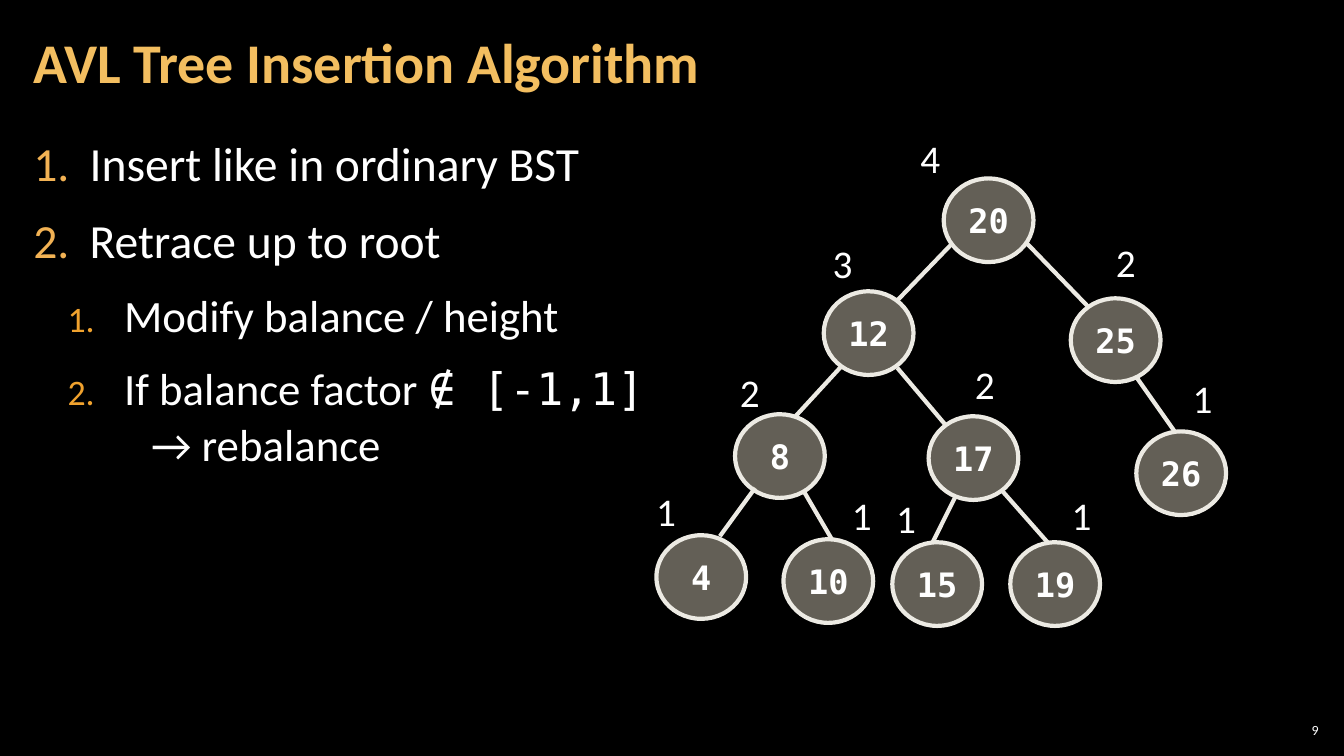
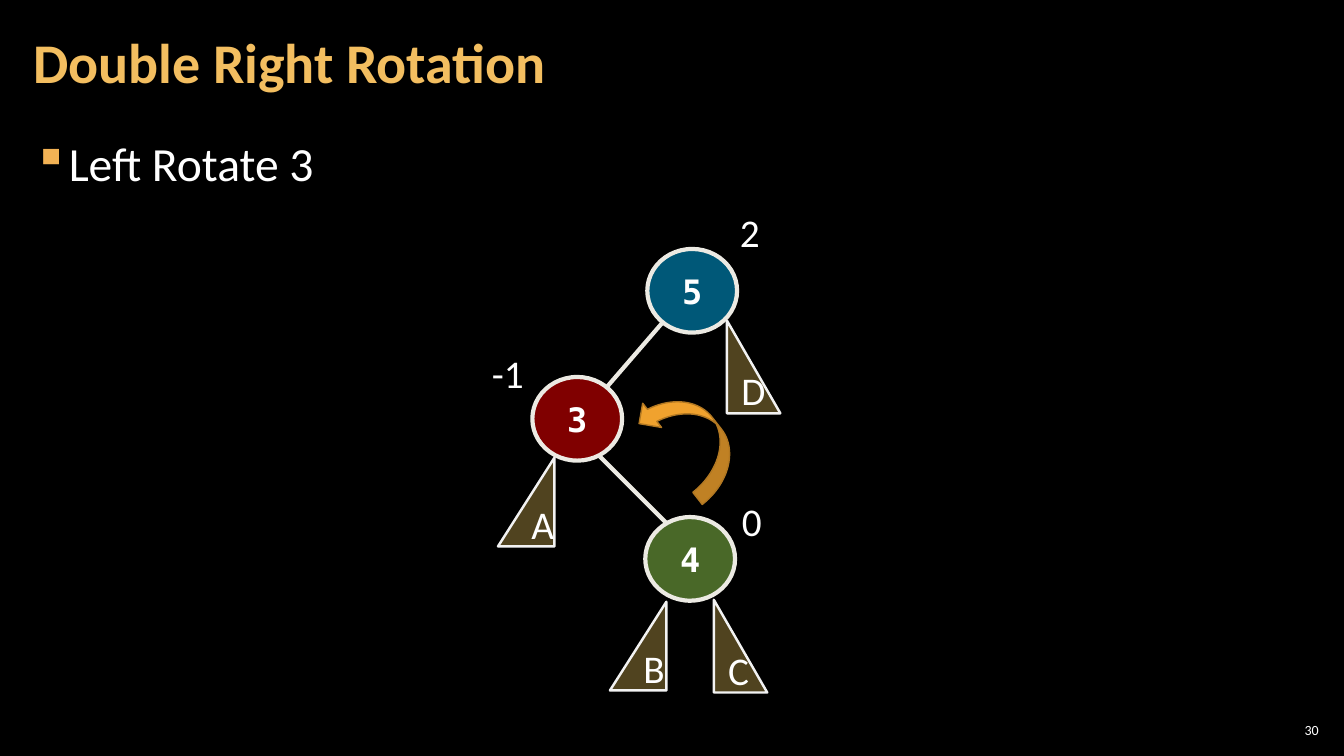
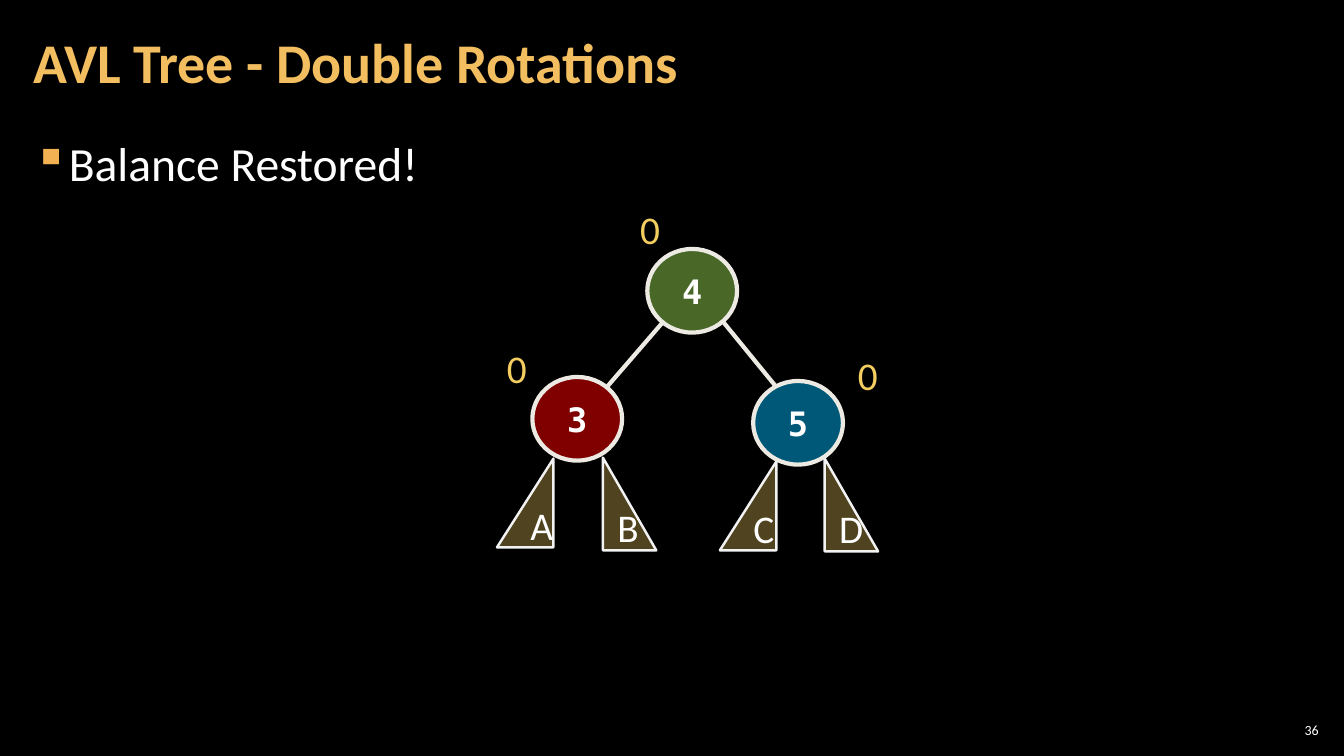
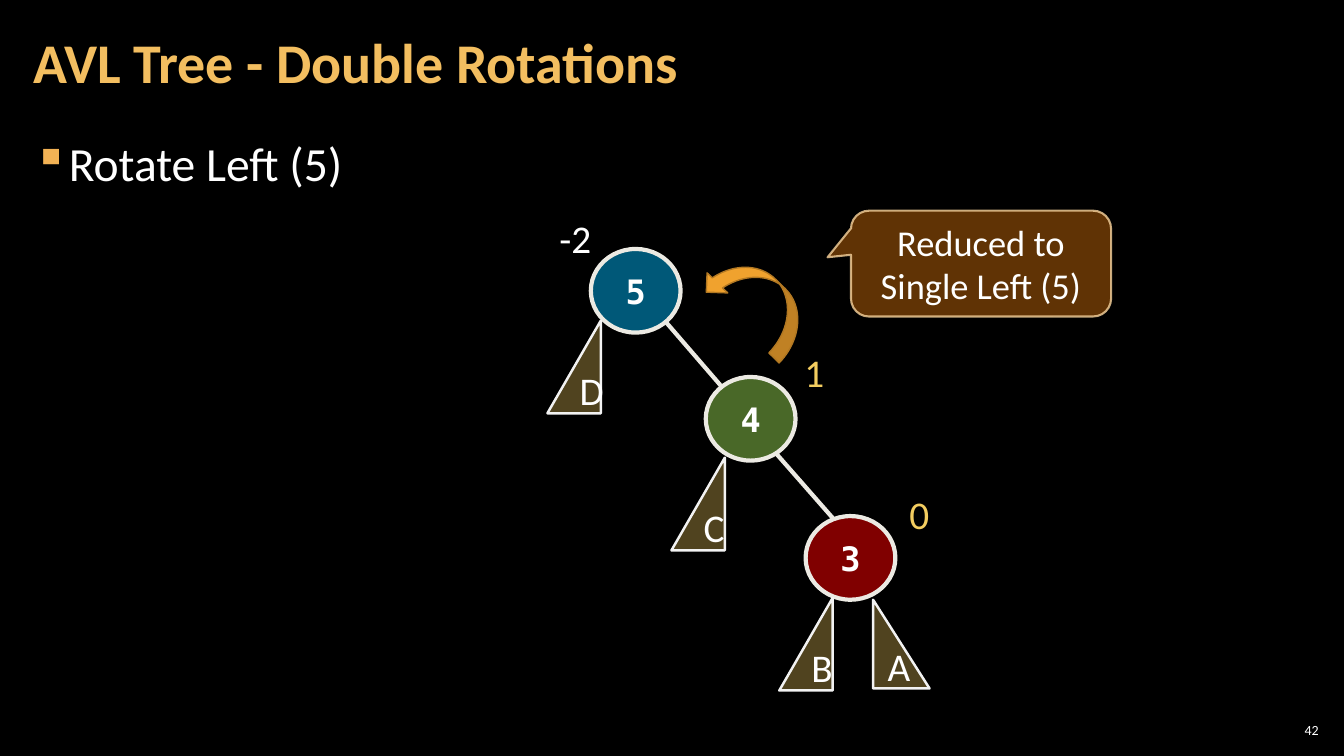
import dataclasses
import lxml.etree
import pptx
import pptx.dml.color
import pptx.enum.shapes
import pptx.enum.text
import pptx.oxml.ns
import pptx.util

Inches = pptx.util.Inches
Pt = pptx.util.Pt
Shapes = pptx.enum.shapes.MSO_SHAPE
Align = pptx.enum.text.PP_ALIGN
Anchor = pptx.enum.text.MSO_ANCHOR
qn = pptx.oxml.ns.qn


@dataclasses.dataclass(frozen=True)
class Theme:
    font: str = "Calibri"
    mono: str = "DejaVu Sans Mono"
    background: str = "000000"
    text: str = "FFFFFF"
    title: str = "F3BE60"
    bullet: str = "F2B254"
    accent: str = "F0A22E"
    accent_line: str = "B27822"
    outline: str = "ECEAE3"
    subtree: str = "F3CD60"
    subtree_line: str = "F2F2F2"
    callout: str = "663606"
    callout_line: str = "F8D49E"
    stone: str = "C7BFAC"
    red: str = "FF0000"
    green: str = "92D050"
    blue: str = "00B0F0"
    title_size: int = 40
    body_size: int = 34
    sub_size: int = 32
    label_size: int = 28
    callout_size: int = 26
    node_size: int = 24
    number_size: int = 10


THEME = Theme()
SLIDE_SIZE = (13.33, 7.5)
TITLE_BOX = (0.21, 0.04, 10.47, 1.21)
BODY_BOX = (0.21, 1.26, 12.91, 6.09)
NUMBER_BOX = (12.65, 7.14, 0.47, 0.21)
BODY_MARGINS = (0.12, 0.04)
NODE_SIZE = (0.89, 0.83)
LABEL_HEIGHT = 0.57
WIDE = (0.56, 0.88)
TALL = (0.53, 0.92)


@dataclasses.dataclass
class Node:
    key: int
    at: tuple
    label: str
    label_at: tuple
    label_colour: str = THEME.text


@dataclasses.dataclass
class Subtree:
    name: str
    at: tuple
    size: tuple
    flipped: bool = False


@dataclasses.dataclass
class Tree:
    origin: tuple
    nodes: list
    edges: list
    subtrees: list = dataclasses.field(default_factory=list)
    colours: dict = dataclasses.field(default_factory=dict)
    label_width: float = 0.61


# ---- Formatting helpers ----
def rgb(colour):
    return pptx.dml.color.RGBColor.from_string(colour)


def set_alpha(fill_element, percent):
    colour = fill_element.find(".//" + qn("a:srgbClr"))
    lxml.etree.SubElement(colour, qn("a:alpha")).set("val", str(percent * 1000))


def place(origin, at, size):
    return (origin[0] + at[0], origin[1] + at[1], *size)


def write(frame, text, paragraph=None, size=THEME.label_size, colour=THEME.text,
          font=THEME.font, bold=False, align=None, spacing=None):
    """Add text to a paragraph, by default the first; a newline is a line break."""
    paragraph = paragraph or frame.paragraphs[0]
    if align is not None:
        paragraph.alignment = align
    if spacing is not None:
        paragraph.line_spacing = spacing
    for index, line in enumerate(text.split("\n")):
        if index:
            paragraph.add_line_break()
        run = paragraph.add_run()
        run.text = line
        run.font.name = font
        run.font.size = Pt(size)
        run.font.bold = bold
        run.font.color.rgb = rgb(colour)


def add_text_box(slide, box, margins=(0.1, 0.05), anchor=Anchor.TOP):
    frame = slide.shapes.add_textbox(*map(Inches, box)).text_frame
    frame.word_wrap = True
    frame.vertical_anchor = anchor
    frame.margin_left = frame.margin_right = Inches(margins[0])
    frame.margin_top = frame.margin_bottom = Inches(margins[1])
    return frame


def add_shape(slide, kind, box, fill, line, line_width, alpha=100, flipped=False):
    shape = slide.shapes.add_shape(kind, *map(Inches, box))
    shape.shadow.inherit = False
    shape.fill.solid()
    shape.fill.fore_color.rgb = rgb(fill)
    shape.line.color.rgb = rgb(line)
    shape.line.width = Pt(line_width)
    if alpha < 100:
        set_alpha(shape.element.spPr.find(qn("a:solidFill")), alpha)
    if flipped:
        shape.element.spPr.find(qn("a:xfrm")).set("flipH", "1")
    shape.text_frame.vertical_anchor = Anchor.MIDDLE
    return shape


def set_bullet(paragraph, indent, left, colour, number=False, size=100):
    properties = paragraph._p.get_or_add_pPr()
    properties.set("marL", str(Inches(left)))
    properties.set("indent", str(-Inches(indent)))
    colour_element = lxml.etree.SubElement(properties, qn("a:buClr"))
    lxml.etree.SubElement(colour_element, qn("a:srgbClr")).set("val", colour)
    lxml.etree.SubElement(properties, qn("a:buSzPct")).set("val", str(size * 1000))
    if number:
        lxml.etree.SubElement(properties, qn("a:buFont")).set("typeface", THEME.font)
        lxml.etree.SubElement(properties, qn("a:buAutoNum")).set("type", "arabicPeriod")
    else:
        lxml.etree.SubElement(properties, qn("a:buChar")).set("char", "▪")


# ---- Slide regions ----
def add_base_slide(presentation, title, number):
    slide = presentation.slides.add_slide(presentation.slide_layouts[6])
    frame = add_text_box(slide, NUMBER_BOX, (0.04, 0.04), Anchor.MIDDLE)
    write(frame, str(number), size=THEME.number_size, align=Align.RIGHT)
    frame = add_text_box(slide, TITLE_BOX, BODY_MARGINS, Anchor.MIDDLE)
    write(frame, title, size=THEME.title_size, colour=THEME.title, bold=True, spacing=0.9)
    return slide


def add_body(slide, box, items, numbered=False):
    """Each item is a level and a list of (text, font) pieces."""
    frame = add_text_box(slide, box, BODY_MARGINS)
    for index, (level, pieces) in enumerate(items):
        paragraph = frame.add_paragraph() if index else frame.paragraphs[0]
        paragraph.level = level
        paragraph.line_spacing = 1.05
        paragraph.space_before = paragraph.space_after = Pt(6)
        indent = 0.56 if numbered else 0.33
        if level:
            set_bullet(paragraph, indent, 0.9, THEME.accent, numbered, 80)
        else:
            set_bullet(paragraph, indent, indent, THEME.bullet, numbered)
        for text, font in pieces:
            write(frame, text, paragraph, font=font,
                  size=THEME.sub_size if level else THEME.body_size)


def add_edge(slide, origin, start, end):
    ends = (origin[0] + start[0], origin[1] + start[1],
            origin[0] + end[0], origin[1] + end[1])
    edge = slide.shapes.add_connector(
        pptx.enum.shapes.MSO_CONNECTOR.STRAIGHT, *map(Inches, ends))
    edge.line.color.rgb = rgb(THEME.outline)
    edge.line.width = Pt(3)
    lxml.etree.SubElement(edge.element.spPr, qn("a:effectLst"))


def add_tree(slide, tree):
    # Edges lie behind the nodes
    for start, end in tree.edges:
        add_edge(slide, tree.origin, start, end)
    for node in tree.nodes:
        circle = add_shape(slide, Shapes.OVAL, place(tree.origin, node.at, NODE_SIZE),
                           tree.colours.get(node.key, THEME.stone), THEME.outline, 3, alpha=50)
        circle.text_frame.word_wrap = False
        write(circle.text_frame, str(node.key), size=THEME.node_size,
              font=THEME.mono, bold=True, align=Align.CENTER)
    # Subtrees hang from the nodes
    for subtree in tree.subtrees:
        triangle = add_shape(slide, Shapes.RIGHT_TRIANGLE,
                             place(tree.origin, subtree.at, subtree.size), THEME.subtree,
                             THEME.subtree_line, 1.75, alpha=33, flipped=subtree.flipped)
        write(triangle.text_frame, subtree.name, align=Align.CENTER)
    # Heights or balance factors
    for node in tree.nodes:
        box = place(tree.origin, node.label_at, (tree.label_width, LABEL_HEIGHT))
        write(add_text_box(slide, box), node.label, colour=node.label_colour)


def add_rotation_arrow(slide, kind, box, rotation, flipped=False):
    arrow = add_shape(slide, kind, box, THEME.accent, THEME.accent_line, 1, flipped=flipped)
    arrow.rotation = rotation


def add_callout(slide, box, text):
    callout = add_shape(slide, Shapes.ROUNDED_RECTANGULAR_CALLOUT, box, THEME.callout,
                        THEME.callout_line, 1.5, alpha=95)
    set_alpha(callout.element.spPr.find(qn("a:ln")), 80)
    for index, value in enumerate((-0.59, -0.06, 0.17)):
        callout.adjustments[index] = value
    callout.text_frame.word_wrap = True
    write(callout.text_frame, text, size=THEME.callout_size, align=Align.CENTER)


def add_rotation_slide(presentation, title, number, step, tree):
    slide = add_base_slide(presentation, title, number)
    add_body(slide, BODY_BOX, [(0, [(step, THEME.font)])])
    add_tree(slide, tree)
    return slide


# ---- Content, in inches from each tree's origin ----
INSERTION_STEPS = [
    (0, [("Insert like in ordinary BST", THEME.font)]),
    (0, [("Retrace up to root", THEME.font)]),
    (1, [("Modify balance / height", THEME.font)]),
    (1, [("If balance factor ", THEME.font), ("∉ [-1,1]\n ", THEME.mono),
         ("→ rebalance", THEME.font)]),
]

INSERTION_TREE = Tree(
    origin=(6, 1),
    label_width=0.42,
    nodes=[
        Node(20, (3.36, 0.77), "4", (3.03, 0.28)),
        Node(25, (4.62, 1.96), "2", (4.97, 1.32)),
        Node(12, (2.17, 1.89), "3", (2.16, 1.33)),
        Node(8, (1.29, 3.11), "2", (1.24, 2.6)),
        Node(17, (3.21, 3.13), "2", (3.57, 2.53)),
        Node(26, (5.27, 3.28), "1", (5.73, 2.66)),
        Node(4, (0.51, 4.31), "1", (0.41, 3.79)),
        Node(10, (1.77, 4.35), "1", (2.35, 3.83)),
        Node(15, (2.85, 4.38), "1", (2.79, 3.85)),
        Node(19, (4.02, 4.38), "1", (4.53, 3.83)),
    ],
    edges=[
        ((3.44, 1.42), (2.9, 1.98)), ((2.34, 2.64), (1.89, 3.13)),
        ((2.9, 2.65), (3.39, 3.23)), ((4.19, 1.42), (4.79, 2.04)),
        ((5.27, 2.74), (5.65, 3.28)), ((1.49, 3.84), (1.14, 4.32)),
        ((1.97, 3.87), (2.25, 4.35)), ((3.47, 3.94), (3.25, 4.38)),
        ((3.94, 3.87), (4.39, 4.38)),
    ],
)

ROTATION_ORIGIN = (4, 2)
ROTATION_COLOURS = {3: THEME.red, 4: THEME.green, 5: THEME.blue}

LEFT_ROTATE_TREE = Tree(
    origin=ROTATION_ORIGIN,
    colours=ROTATION_COLOURS,
    nodes=[
        Node(5, (2.42, 0.47), "2", (3.24, 0.02)),
        Node(3, (1.28, 1.74), "-1", (0.78, 1.42)),
        Node(4, (2.4, 3.13), "0", (3.26, 2.88)),
    ],
    edges=[((2.58, 1.19), (2.01, 1.85)), ((1.95, 2.53), (2.61, 3.19))],
    subtrees=[
        Subtree("D", (3.21, 1.18), TALL),
        Subtree("A", (0.94, 2.54), WIDE, flipped=True),
        Subtree("C", (3.08, 3.95), TALL),
        Subtree("B", (2.05, 3.97), WIDE, flipped=True),
    ],
)

RESTORED_TREE = Tree(
    origin=ROTATION_ORIGIN,
    colours=ROTATION_COLOURS,
    nodes=[
        Node(4, (2.42, 0.47), "0", (2.25, -0.01), THEME.subtree),
        Node(3, (1.28, 1.74), "0", (0.93, 1.37), THEME.subtree),
        Node(5, (3.47, 1.78), "0", (4.41, 1.44), THEME.subtree),
    ],
    edges=[((2.58, 1.19), (2.01, 1.85)), ((3.7, 1.84), (3.17, 1.19))],
    subtrees=[
        Subtree("A", (0.93, 2.55), WIDE, flipped=True),
        Subtree("B", (1.98, 2.54), TALL),
        Subtree("D", (4.18, 2.55), TALL),
        Subtree("C", (3.14, 2.58), WIDE, flipped=True),
    ],
)

SINGLE_LEFT_TREE = Tree(
    origin=ROTATION_ORIGIN,
    colours=ROTATION_COLOURS,
    nodes=[
        Node(5, (1.86, 0.47), "-2", (1.45, 0.08)),
        Node(4, (3, 1.74), "1", (3.88, 1.41), THEME.subtree),
        Node(3, (3.99, 3.12), "0", (4.92, 2.82), THEME.subtree),
    ],
    edges=[((2.6, 1.19), (3.17, 1.85)), ((3.69, 2.49), (4.26, 3.14))],
    subtrees=[
        Subtree("D", (1.43, 1.18), TALL, flipped=True),
        Subtree("A", (4.66, 3.95), WIDE),
        Subtree("B", (3.73, 3.93), TALL, flipped=True),
        Subtree("C", (2.66, 2.54), TALL, flipped=True),
    ],
)


def main():
    presentation = pptx.Presentation()
    presentation.slide_width, presentation.slide_height = map(Inches, SLIDE_SIZE)
    background = presentation.slide_master.background.fill
    background.solid()
    background.fore_color.rgb = rgb(THEME.background)

    # Insertion algorithm
    slide = add_base_slide(presentation, "AVL Tree Insertion Algorithm", 9)
    add_body(slide, BODY_BOX, INSERTION_STEPS, numbered=True)
    add_tree(slide, INSERTION_TREE)

    # Double right rotation, first step
    slide = add_rotation_slide(presentation, "Double Right Rotation", 30,
                               "Left Rotate 3", LEFT_ROTATE_TREE)
    add_rotation_arrow(slide, Shapes.CURVED_UP_ARROW, (6.26, 4.05, 1.17, 0.61), 232)

    # Balanced result
    add_rotation_slide(presentation, "AVL Tree - Double Rotations", 36,
                       "Balance Restored!", RESTORED_TREE)

    # Reduced to a single rotation
    slide = add_rotation_slide(presentation, "AVL Tree - Double Rotations", 42,
                               "Rotate Left (5)", SINGLE_LEFT_TREE)
    add_callout(slide, (8.44, 2.09, 2.58, 1.05), "Reduced to Single Left (5)")
    add_rotation_arrow(slide, Shapes.CURVED_DOWN_ARROW, (6.94, 2.71, 1.15, 0.57), 44.2,
                       flipped=True)

    presentation.save("out.pptx")


if __name__ == "__main__":
    main()
